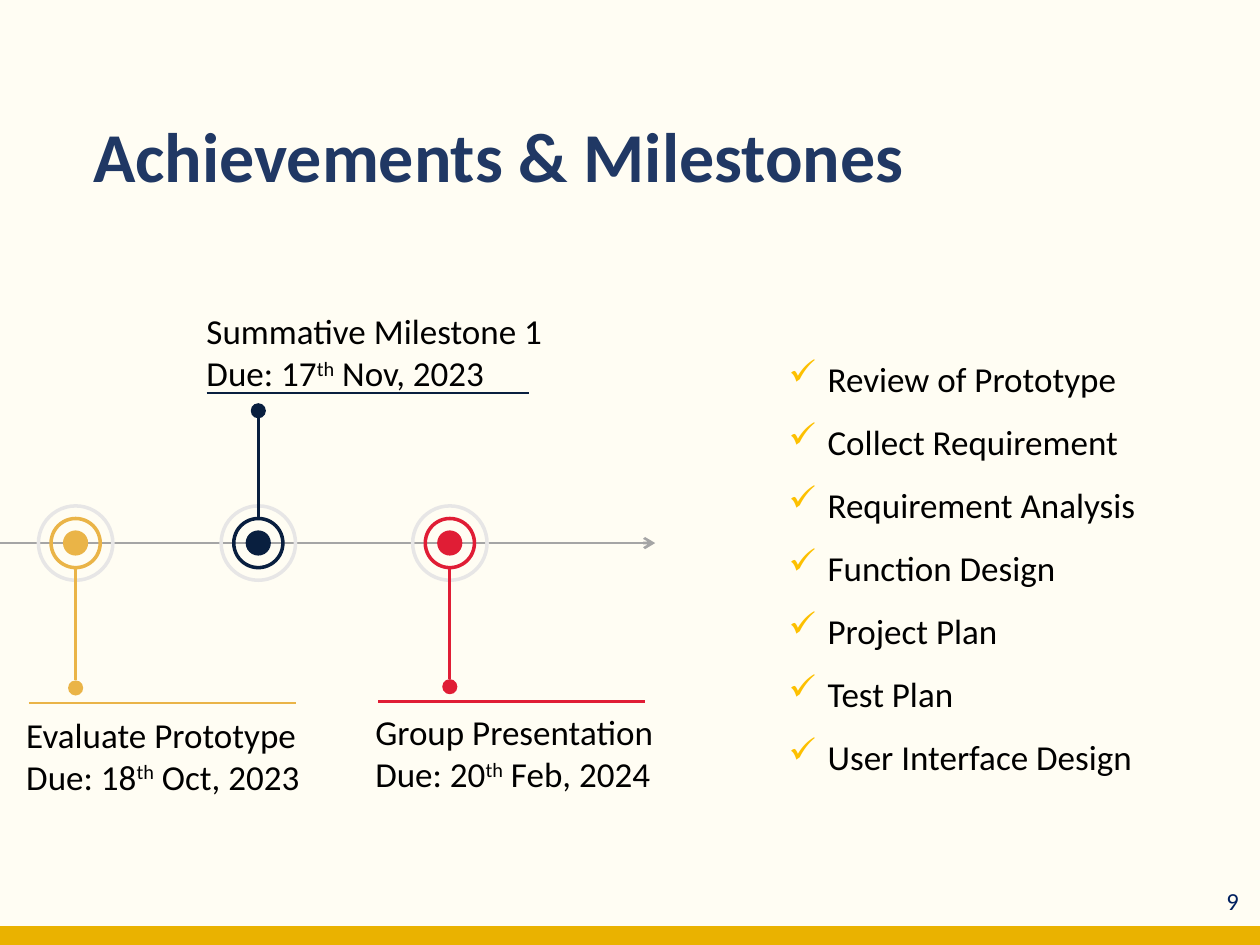
"""Build the achievements and milestones slide with a timeline and a checklist."""
from lxml import etree
from pptx import Presentation
from pptx.dml.color import RGBColor
from pptx.enum import shapes, text
from pptx.oxml.ns import qn
from pptx.util import Inches, Pt

CREAM = RGBColor(0xFF, 0xFD, 0xF3)
GOLD = RGBColor(0xEA, 0xB2, 0x00)
AMBER = RGBColor(0xEA, 0xB4, 0x47)
NAVY = RGBColor(0x09, 0x1F, 0x3F)
RED = RGBColor(0xE0, 0x1D, 0x35)
TITLE_BLUE = RGBColor(0x20, 0x38, 0x64)
NUMBER_BLUE = RGBColor(0x00, 0x20, 0x60)
GREY = RGBColor(0xA5, 0xA5, 0xA5)
PALE_GREY = RGBColor(0xE7, 0xE6, 0xE6)
BLACK = RGBColor(0, 0, 0)
CHECK_COLOR = "FDC000"

AXIS_Y = 4.31
DOT, RING, HALO, STEM_DOT = 0.2, 0.39, 0.59, 0.12
MILESTONES = [
    {"x": 0.6, "color": AMBER, "stem_end": 5.4, "rule": (0.23, 2.35, 5.58),
     "label": (0.11, 5.61, 2.41, 0.77),
     "lines": [["Evaluate Prototype"], ["Due: 18", "th", " Oct, 2023"]]},
    {"x": 2.05, "color": NAVY, "stem_end": 3.32, "rule": (1.64, 4.2, 3.12),
     "label": (1.54, 2.41, 2.99, 0.77),
     "lines": [["Summative Milestone 1 Due: 17", "th", " Nov, 2023"]]},
    {"x": 3.57, "color": RED, "stem_end": 5.39, "rule": (3, 5.12, 5.57),
     "label": (2.88, 5.59, 2.41, 0.77),
     "lines": [["Group Presentation"], ["Due: 20", "th", " Feb, 2024"]]},
]
TASKS = ["Review of Prototype", "Collect Requirement", "Requirement Analysis",
         "Function Design", "Project Plan", "Test Plan", "User Interface Design"]


def add_span(para, words, size=20, color=BLACK, bold=False):
    """Add one formatted run to a paragraph."""
    span = para.add_run()
    span.text = words
    for name, value in {"name": "Calibri", "size": Pt(size), "bold": bold}.items():
        setattr(span.font, name, value)
    span.font.color.rgb = color
    return span


def add_text_box(page, place, wrap=True):
    """Add an empty text box and return its text frame."""
    frame = page.shapes.add_textbox(*map(Inches, place)).text_frame
    frame.word_wrap = wrap
    return frame


def add_paragraph(frame, index):
    """Return the first paragraph of a frame, or a new one."""
    return frame.add_paragraph() if index else frame.paragraphs[0]


def add_shape(page, kind, place, fill=None, line=None):
    """Add a preset shape that is filled, outlined or both."""
    shape = page.shapes.add_shape(kind, *map(Inches, place))
    shape.shadow.inherit = False
    if fill is None:
        shape.fill.background()
    else:
        shape.fill.solid()
        shape.fill.fore_color.rgb = fill
    if line is None:
        shape.line.fill.background()
    else:
        shape.line.color.rgb = line
        shape.line.width = Pt(2)
    return shape


def add_circle(page, x, y, size, **colors):
    """Add a circle around a centre point."""
    place = (x - size / 2, y - size / 2, size, size)
    return add_shape(page, shapes.MSO_SHAPE.OVAL, place, **colors)


def add_line(page, start, end, color, arrow=False):
    """Add a straight line, with an arrowhead at its end if asked for."""
    line = page.shapes.add_connector(
        shapes.MSO_CONNECTOR.STRAIGHT, *map(Inches, (*start, *end)))
    line.line.color.rgb = color
    line.line.width = Pt(1.5)
    if arrow:
        etree.SubElement(line.line._get_or_add_ln(), qn("a:tailEnd"), type="arrow")
    etree.SubElement(line._element.spPr, qn("a:effectLst"))


def add_title(page):
    """Place and format the title."""
    title = page.shapes.title
    place = {"left": 0.64, "top": 0.89, "width": 8.5, "height": 0.73}
    for name, value in place.items():
        setattr(title, name, Inches(value))
    frame = title.text_frame
    frame.vertical_anchor = text.MSO_ANCHOR.BOTTOM
    para = frame.paragraphs[0]
    para.alignment = text.PP_ALIGN.LEFT
    para.line_spacing = 0.9
    add_span(para, "Achievements & Milestones", 40, TITLE_BLUE, True)


def add_milestone(page, x, color, stem_end, rule, label, lines):
    """Add a target on the axis with its stem, rule and label."""
    add_circle(page, x, AXIS_Y, DOT, fill=color)
    add_circle(page, x, AXIS_Y, RING, line=color)
    add_circle(page, x, AXIS_Y, HALO, line=PALE_GREY)
    side = 1 if stem_end > AXIS_Y else -1
    add_line(page, (x, AXIS_Y + side * RING / 2), (x, stem_end), color)
    add_circle(page, x, stem_end + side * STEM_DOT / 2, STEM_DOT, fill=color)
    left, right, height = rule
    add_line(page, (left, height), (right, height), color)
    frame = add_text_box(page, label)
    for index, parts in enumerate(lines):
        para = add_paragraph(frame, index)
        for part in parts:
            span = add_span(para, part)
            if part == "th":
                span.font._element.set("baseline", "30000")


def add_check_bullet(para):
    """Give a paragraph a hanging check mark."""
    props = para._p.get_or_add_pPr()
    indent = Inches(0.31)
    props.set("marL", str(indent))
    props.set("indent", str(-indent))
    color = etree.SubElement(props, qn("a:buClr"))
    etree.SubElement(color, qn("a:srgbClr"), val=CHECK_COLOR)
    etree.SubElement(props, qn("a:buChar"), char="✓")


def add_checklist(page):
    """Add the list of finished tasks."""
    frame = add_text_box(page, (6.16, 2.62, 2.99, 3.58), wrap=False)
    for index, task in enumerate(TASKS):
        para = add_paragraph(frame, index)
        add_check_bullet(para)
        para.line_spacing = 1.5
        add_span(para, task)


def add_page_number(page):
    """Add the page number at the lower right."""
    frame = add_text_box(page, (9.47, 6.95, 0.46, 0.4))
    frame.vertical_anchor = text.MSO_ANCHOR.MIDDLE
    para = frame.paragraphs[0]
    para.alignment = text.PP_ALIGN.RIGHT
    add_span(para, "9", 14, NUMBER_BLUE)


def main():
    """Build and save the deck."""
    deck = Presentation()
    deck.slide_width, deck.slide_height = Inches(10), Inches(7.5)
    page = deck.slides.add_slide(deck.slide_layouts[5])
    page.background.fill.solid()
    page.background.fill.fore_color.rgb = CREAM
    add_shape(page, shapes.MSO_SHAPE.RECTANGLE, (0, 7.35, 10, 0.15), fill=GOLD)
    add_title(page)
    add_line(page, (0, AXIS_Y), (5.2, AXIS_Y), GREY, arrow=True)
    for milestone in MILESTONES:
        add_milestone(page, **milestone)
    add_checklist(page)
    add_page_number(page)
    deck.save("out.pptx")


if __name__ == "__main__":
    main()
